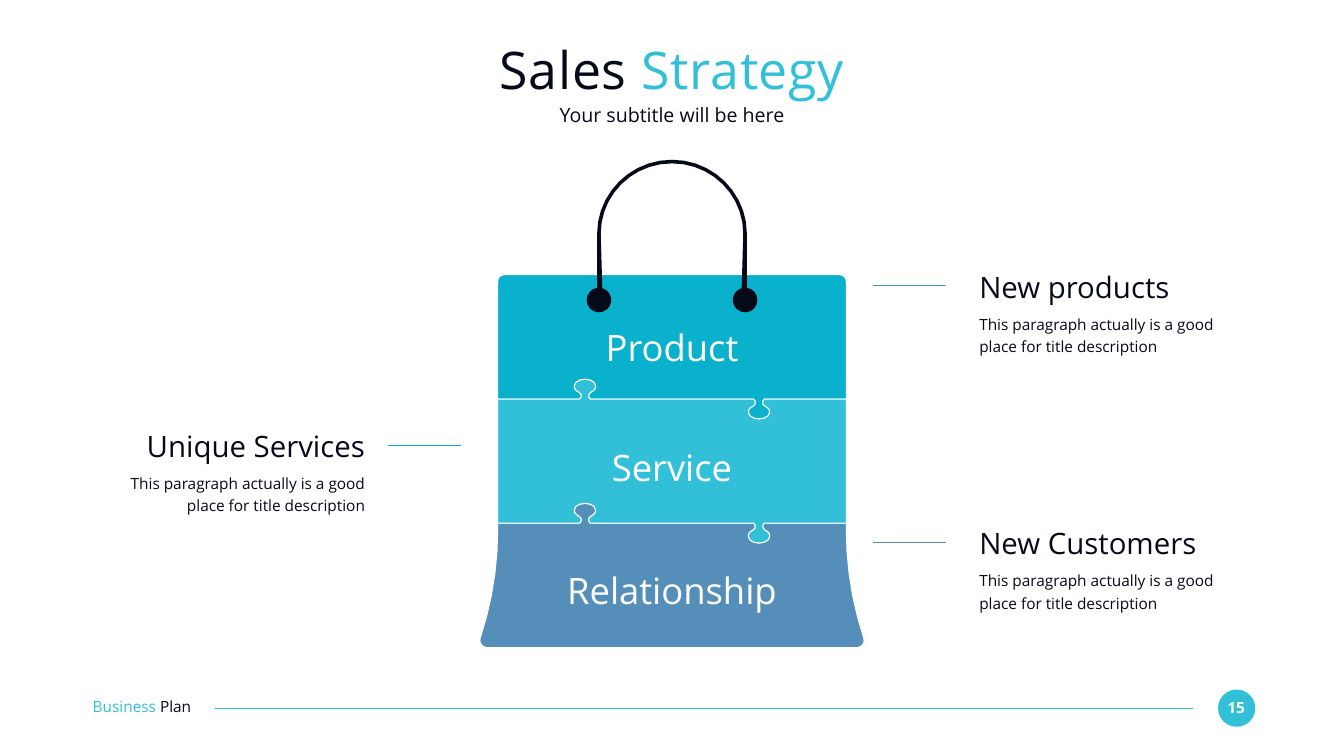
"""Build the Sales Strategy slide with its shopping bag puzzle."""
import dataclasses
import math

import pptx
import pptx.dml.color
import pptx.enum.shapes
import pptx.enum.text
import pptx.oxml
import pptx.oxml.ns
import pptx.util

Pt = pptx.util.Pt
Align = pptx.enum.text.PP_ALIGN
Anchor = pptx.enum.text.MSO_ANCHOR

CENTER = 960
HALF_WIDTH = 249
BAG_TOP, BAG_BOTTOM = 392.4, 925.2
SEAMS = (570.2, 747.4)
KNOB_OFFSET = 124.3


@dataclasses.dataclass(frozen=True)
class Theme:
    font: str = "Open Sans"
    ink: str = "050A19"
    white: str = "FFFFFF"
    teal: str = "09B1CC"
    aqua: str = "32C0D8"
    steel: str = "558EB9"
    title: int = 74
    label: int = 52
    heading: int = 42
    subtitle: int = 28
    body: int = 22
    line: float = 1.5


def rgb(color):
    return pptx.dml.color.RGBColor.from_string(color)


def curve(start, *segments, steps):
    points = [start]
    for first, second, end in segments:
        origin = points[-1]
        for step in range(1, steps + 1):
            t = step / steps
            weights = ((1 - t) ** 3, 3 * t * (1 - t) ** 2, 3 * t * t * (1 - t), t ** 3)
            controls = (origin, first, second, end)
            points.append(tuple(sum(w * p[axis] for w, p in zip(weights, controls))
                                for axis in (0, 1)))
    return points


def mirrored(points):
    return points + [(-x, y) for x, y in reversed(points)]


def centered(points):
    return [(CENTER + x, y) for x, y in mirrored(points)]


def seam(y):
    knob = mirrored(curve(
        (-7.6, 0),
        ((-4.4, 1.5), (-4, 8.5), (-9, 10.3)),
        ((-13, 11.8), (-15.3, 15), (-15.3, 18.4)),
        ((-15.3, 24.2), (-8.6, 28.4), (0, 28.4)), steps=3))
    left = [(CENTER - KNOB_OFFSET + dx, y - dy) for dx, dy in knob]
    right = [(CENTER + KNOB_OFFSET + dx, y + dy) for dx, dy in knob]
    return [(CENTER - HALF_WIDTH, y), *left, *right, (CENTER + HALF_WIDTH, y)]


def bag_top():
    return centered(curve(
        (HALF_WIDTH, BAG_TOP + 10),
        ((HALF_WIDTH, BAG_TOP + 4), (HALF_WIDTH - 4, BAG_TOP), (HALF_WIDTH - 10, BAG_TOP)),
        steps=4))


def bag_bottom():
    return centered(curve(
        (HALF_WIDTH, 756.7),
        ((HALF_WIDTH, 809.3), (257.5, 861.8), (274, 911.5)),
        ((276.2, 918), (271.2, BAG_BOTTOM), (264, BAG_BOTTOM)), steps=5))


def handle():
    top, spring, foot, radius = 228.2, 334, 428.6, 17.6
    outer = curve((0, top), ((59, top), (107, 276), (107, spring)), steps=10)
    inner = curve((101.8, spring), ((101.8, 278.5), (56.5, 233.4), (0, 233.4)), steps=10)
    angles = [math.radians(degree) for degree in range(-82, 263, 21)]
    disc = [(104.4 + radius * math.cos(a), foot + radius * math.sin(a)) for a in angles]
    return centered(outer + disc + inner)


class SlideBuilder:
    """Hold the theme and the current slide."""

    def __init__(self, slide, theme):
        self.slide = slide
        self.theme = theme

    def text(self, left, top, width, height, runs, size, align=Align.LEFT,
             anchor=Anchor.TOP, spacing=None, bold=False, tracking=None):
        box = self.slide.shapes.add_textbox(*map(Pt, (left, top, width, height)))
        frame = box.text_frame
        frame_format = {"word_wrap": True, "vertical_anchor": anchor, "margin_left": 0,
                        "margin_right": 0, "margin_top": 0, "margin_bottom": 0}
        for name, value in frame_format.items():
            setattr(frame, name, value)
        paragraph = frame.paragraphs[0]
        for name, value in {"alignment": align, "line_spacing": spacing}.items():
            setattr(paragraph, name, value)
        for words, color in runs:
            run = paragraph.add_run()
            run.text = words
            for name, value in {"name": self.theme.font, "size": Pt(size), "bold": bold}.items():
                setattr(run.font, name, value)
            run.font.color.rgb = rgb(color)
            if tracking:
                run._r.get_or_add_rPr().set("spc", str(tracking))
        return box

    def line(self, start, end, y, color):
        connector = self.slide.shapes.add_connector(
            pptx.enum.shapes.MSO_CONNECTOR.STRAIGHT, Pt(start), Pt(y), Pt(end), Pt(y))
        connector.line.color.rgb = rgb(color)
        connector.line.width = Pt(self.theme.line)
        effects = pptx.oxml.parse_xml(f"<a:effectLst {pptx.oxml.ns.nsdecls('a')}/>")
        connector._element.spPr.append(effects)

    def paint(self, shape, fill, outline=None):
        shape.shadow.inherit = False
        shape.fill.solid()
        shape.fill.fore_color.rgb = rgb(fill)
        if outline:
            shape.line.color.rgb = rgb(outline)
            shape.line.width = Pt(self.theme.line)
        else:
            shape.line.fill.background()

    def circle(self, left, top, size, fill):
        shape = self.slide.shapes.add_shape(
            pptx.enum.shapes.MSO_SHAPE.OVAL, Pt(left), Pt(top), Pt(size), Pt(size))
        self.paint(shape, fill)

    def outline(self, points, fill, outline=None):
        vertices = [(Pt(x), Pt(y)) for x, y in points]
        builder = self.slide.shapes.build_freeform(*vertices[0])
        builder.add_line_segments(vertices[1:], close=True)
        self.paint(builder.convert_to_shape(), fill, outline)

    def callout(self, left, top, heading, line_start, line_color, align):
        theme = self.theme
        description = "This paragraph actually is a good place for title description"
        self.line(line_start, line_start + 104, top + 24.5, line_color)
        self.text(left, top, 389.5, 51, [(heading, theme.ink)], theme.heading, align)
        self.text(left, top + 61, 389.5, 64, [(description, theme.ink)], theme.body,
                  align, spacing=1.2)


def main():
    presentation = pptx.Presentation()
    presentation.slide_width, presentation.slide_height = Pt(1920), Pt(1080)
    theme = Theme()
    builder = SlideBuilder(presentation.slides.add_slide(presentation.slide_layouts[6]), theme)

    builder.circle(1740, 985, 53.3, theme.aqua)
    builder.text(1744.5, 997.2, 42.5, 26.6, [("15", theme.white)], theme.body,
                 Align.CENTER, bold=True)
    builder.line(307.4, 1704.2, 1011.6, theme.aqua)
    builder.text(132.5, 996.5, 186.5, 26.6,
                 [("Business ", theme.aqua), ("Plan", theme.ink)], theme.body)

    builder.text(132, 52.6, 1656, 91.4, [("Sales ", theme.ink), ("Strategy", theme.aqua)],
                 theme.title, Align.CENTER, Anchor.MIDDLE, tracking=100)
    builder.text(132, 146.2, 1656, 35.3, [("Your subtitle will be here", theme.ink)],
                 theme.subtitle, Align.CENTER, Anchor.MIDDLE)

    upper, lower = map(seam, SEAMS)
    builder.outline(lower + bag_bottom(), theme.steel, theme.white)
    builder.outline(upper + bag_top(), theme.teal, theme.white)
    builder.outline(upper + lower[::-1], theme.aqua, theme.white)
    builder.outline(handle(), theme.ink)
    for label, top in (("Product", 464.4), ("Service", 635.8), ("Relationship", 812.2)):
        builder.text(770.4, top, 379.4, 63.4, [(label, theme.white)], theme.label, Align.CENTER)

    for left, top, heading, line_start, color, align in (
            (132, 611.3, "Unique Services", 554.2, theme.teal, Align.RIGHT),
            (1399, 750.2, "New Customers", 1247.6, theme.steel, Align.LEFT),
            (1399, 383.8, "New products", 1247.6, theme.steel, Align.LEFT)):
        builder.callout(left, top, heading, line_start, color, align)

    presentation.save("out.pptx")


if __name__ == "__main__":
    main()
